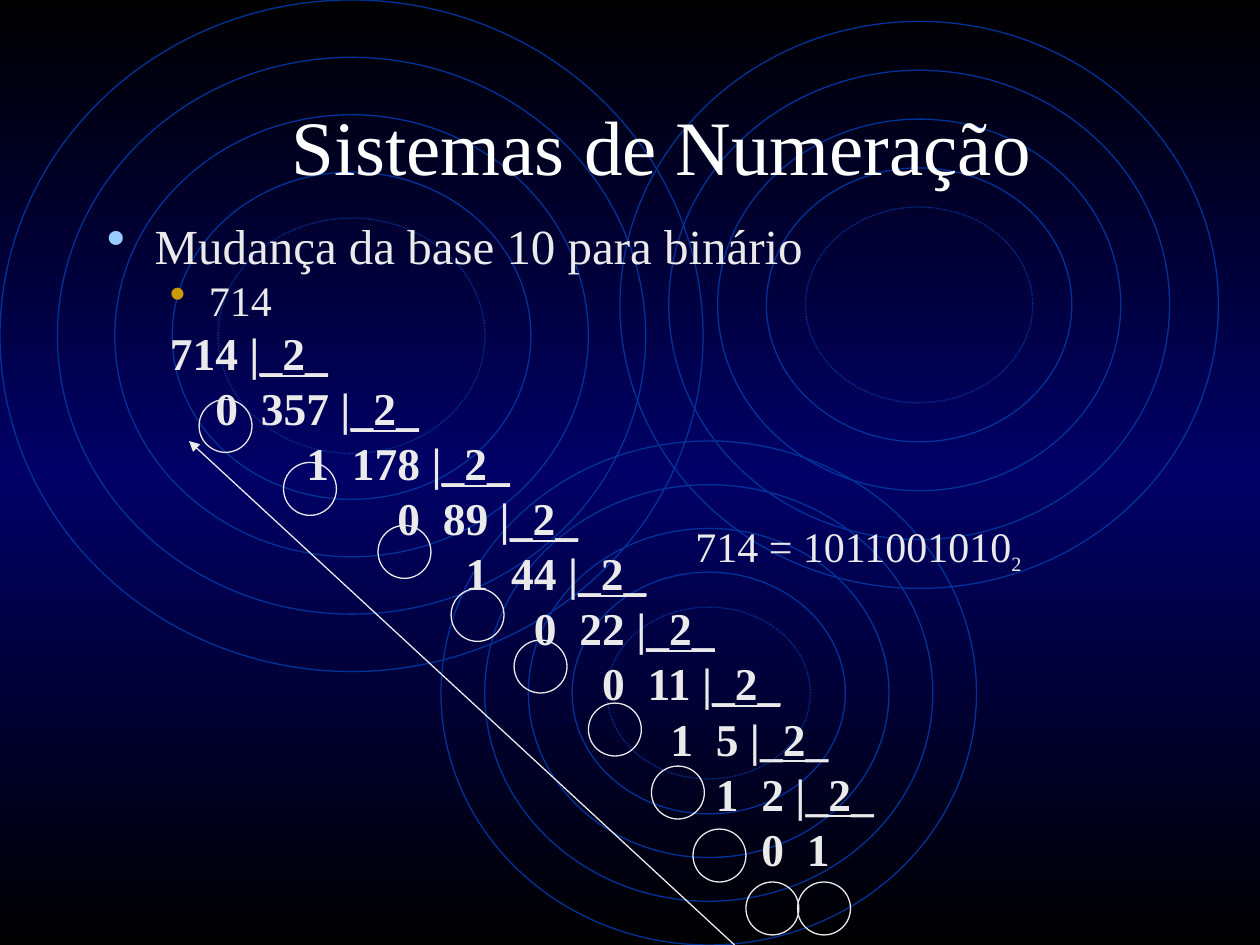
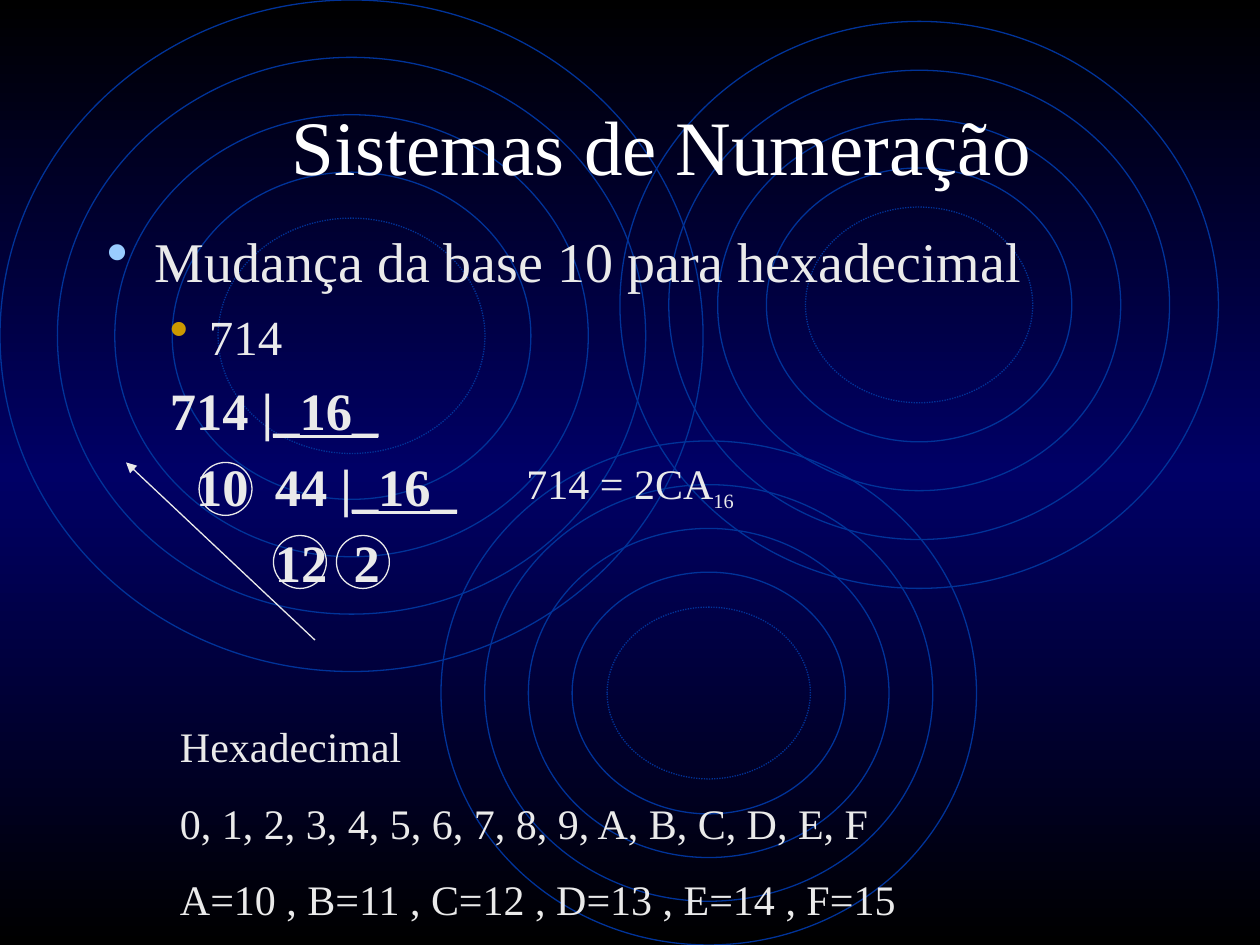
"""Build two slides on changing base 10 numbers to binary and hexadecimal."""
from lxml import etree
from copy import deepcopy
from pptx import Presentation
from pptx.dml.color import RGBColor
from pptx.enum import dml, shapes, text
from pptx.oxml import ns
from pptx.util import Inches, Pt

FONT = "Times New Roman"
HUES = {"black": "000000", "navy": "000066", "ring": "003399", "title": "FFFFFF",
        "text": "EAEAEA", "sky": "99CCFF", "gold": "CC9900"}
TITLE = "Sistemas de Numeração"
RINGS = [(0, 0, 5.58, 5.33), (3.5, 3.5, 4.25, 4), (4.92, 0.17, 4.75, 4.5)]
STEPS = [0, 1, 2, 3, 3.8]
DOT = 0.42
SLIDES = [
    {"head": "Mudança da base 10 para binário", "num": 714, "base": 2,
     "sizes": (28, 24, 26), "gaps": (6, 6.5), "lead": 0.8,
     "arrow": (5.83, 7.5, 1.5, 3.5),
     "dots": [(6.33, 7), (5.92, 7), (5.5, 6.58), (5.17, 6.08), (4.67, 5.58),
              (4.08, 5.08), (3.58, 4.67), (3, 4.17), (2.25, 3.67), (1.58, 3.17)],
     "sum": ("714 = 1011001010", "2", 5.42, 4.08), "notes": []},
    {"head": "Mudança da base 10 para hexadecimal", "num": 714, "base": 16,
     "sizes": (32, 28, 30), "gaps": (7, 7.5), "lead": 1,
     "arrow": (2.5, 5.08, 1, 3.67),
     "dots": [(2.67, 4.25), (2.17, 4.25), (1.58, 3.67)],
     "sum": ("714 = 2CA", "16", 4.08, 3.58),
     "notes": ["Hexadecimal", "0, 1, 2, 3, 4, 5, 6, 7, 8, 9, A, B, C, D, E, F",
               "A=10 , B=11 , C=12 , D=13 , E=14 , F=15"]},
]


def rgb(name):
    return RGBColor.from_string(HUES[name])


def style(par, size, hue="text", bold=False):
    font = par.font
    font.name, font.size, font.bold = FONT, Pt(size), bold
    font.color.rgb = rgb(hue)


def indent(par, left, hang=0, bullet=None):
    props = par._p.get_or_add_pPr()
    props.set("marL", str(Inches(left)))
    props.set("indent", str(-Inches(hang)))
    if bullet:
        color = etree.SubElement(props, ns.qn("a:buClr"))
        etree.SubElement(color, ns.qn("a:srgbClr"), val=HUES[bullet])
        etree.SubElement(props, ns.qn("a:buSzPct"), val="110000")
        etree.SubElement(props, ns.qn("a:buChar"), char="•")


def circle(slide, left, top, wide, high, hue):
    oval = slide.shapes.add_shape(shapes.MSO_SHAPE.OVAL, Inches(left), Inches(top),
                                  Inches(wide), Inches(high))
    oval.shadow.inherit = False
    oval.fill.background()
    oval.line.color.rgb = rgb(hue)
    oval.line.width = Pt(0.75)
    return oval


def backdrop(slide):
    layout = slide.slide_layout
    fill = layout.background.fill
    fill.gradient()
    fill.gradient_angle = 270
    stops = layout.element.find(".//" + ns.qn("a:gsLst"))
    stops.append(deepcopy(stops[-1]))
    for stop, place, hue in zip(fill.gradient_stops, (0, 0.5, 1), ("black", "navy", "black")):
        stop.position = place
        stop.color.rgb = rgb(hue)
    for left, top, wide, high in RINGS:
        for step in STEPS:
            gap = step * wide / 12.25
            ring = circle(slide, left + gap, top + gap, wide - 2 * gap, high - 2 * gap, "ring")
            if step == STEPS[-1]:
                ring.line.dash_style = dml.MSO_LINE.ROUND_DOT
            layout.shapes.element.append(ring.element)


def textbox(slide, left, top, wide, high):
    frame = slide.shapes.add_textbox(Inches(left), Inches(top), Inches(wide), Inches(high)).text_frame
    frame.word_wrap = True
    return frame


def add_par(frame, words, gap, lead=None):
    first = not frame.paragraphs[0].runs
    par = frame.paragraphs[0] if first else frame.add_paragraph()
    par.add_run().text = words
    if not first:
        par.space_before = Pt(gap)
    if lead:
        par.line_spacing = lead
    return par


def ladder(num, base):
    """Give the label, the divisor and the offset in digits of each division row."""
    label, start = str(num), 0
    yield label + " |", f"_{base}_", start
    while num >= base:
        num, rest = divmod(num, base)
        start += len(label) - len(str(rest))
        quot = str(num)
        mark = f"_{base}_" if num >= base else ""
        yield f"{rest}  {quot}" + (" |" if mark else ""), mark, start
        label = str(rest) + " " + quot


def add_body(slide, data):
    frame = textbox(slide, 0.75, 1.75, 8.5, 5.75)
    big, mid, small = data["sizes"]
    gap, tight = data["gaps"]
    par = add_par(frame, data["head"], 0, data["lead"])
    indent(par, 0.38, 0.38, "sky")
    style(par, big)
    par = add_par(frame, str(data["num"]), gap, data["lead"])
    par.level = 1
    indent(par, 0.81, 0.31, "gold")
    style(par, mid)
    for label, mark, start in ladder(data["num"], data["base"]):
        par = add_par(frame, label, tight, data["lead"])
        par.level = 1
        indent(par, 0.5 + start * small / 2 / 72)
        if mark:
            run = par.add_run()
            run.text, run.font.underline = mark, True
        style(par, small, bold=True)


def add_arrow(slide, ends):
    line = slide.shapes.add_connector(shapes.MSO_CONNECTOR.STRAIGHT, *map(Inches, ends))
    line.line.color.rgb = rgb("text")
    line.line.width = Pt(0.75)
    etree.SubElement(line.line._get_or_add_ln(), ns.qn("a:tailEnd"), type="triangle")
    etree.SubElement(line.element.spPr, ns.qn("a:effectLst"))


def add_sum(slide, words, base, left, top):
    frame = textbox(slide, left, top, 4.08, 0.54)
    par = add_par(frame, words, 0)
    style(par, 24)
    run = par.add_run()
    run.text, run.font.size = base, Pt(20)
    run._r.get_or_add_rPr().set("baseline", "-25000")


def add_slide(deck, data):
    slide = deck.slides.add_slide(deck.slide_layouts[5])
    title = slide.shapes.title
    title.left, title.top, title.width, title.height = map(Inches, (1, 0.52, 8.5, 1.25))
    title.text_frame.text = TITLE
    title.text_frame.vertical_anchor = text.MSO_ANCHOR.MIDDLE
    par = title.text_frame.paragraphs[0]
    par.alignment = text.PP_ALIGN.CENTER
    style(par, 44, "title")
    add_body(slide, data)
    add_arrow(slide, data["arrow"])
    for left, top in data["dots"]:
        circle(slide, left, top, DOT, DOT, "text")
    add_sum(slide, *data["sum"])
    if data["notes"]:
        frame = textbox(slide, 1.33, 5.67, 7.25, 1.72)
        for words in data["notes"]:
            style(add_par(frame, words, 15), 24)
    return slide


def main():
    deck = Presentation()
    deck.slide_width, deck.slide_height = Inches(10), Inches(7.5)
    pages = [add_slide(deck, data) for data in SLIDES]
    backdrop(pages[0])
    deck.save("out.pptx")


if __name__ == "__main__":
    main()
